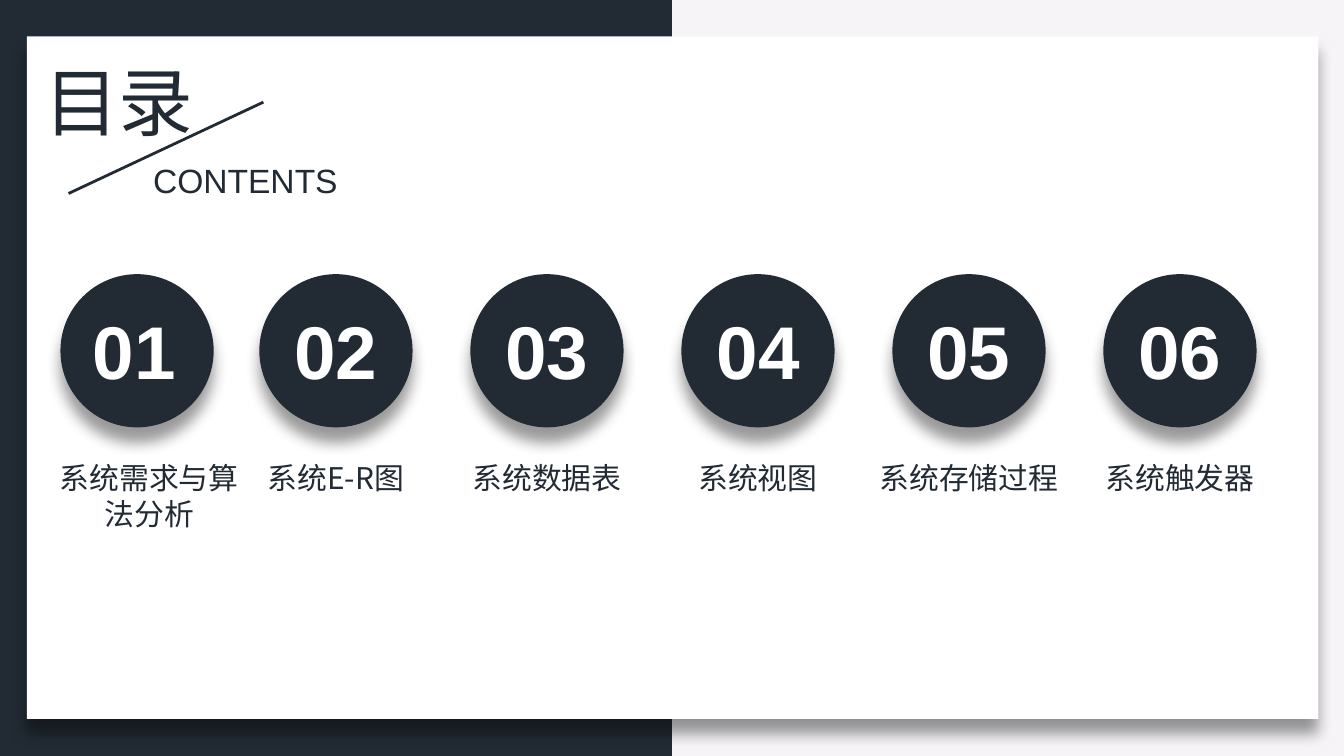
from pptx import Presentation
from pptx import util as u
from pptx.dml.color import RGBColor
from pptx.enum import shapes, text
from pptx.oxml import parse_xml
from pptx.oxml.ns import nsdecls, qn

SLIDE_WIDTH = 10
SLIDE_HEIGHT = SLIDE_WIDTH * 9 / 16
DARK, PALE, WHITE = "222B34", "F6F4F7", "FFFFFF"
LABEL_FONT = "Noto Sans CJK SC"

# number, label, label width, label height, label wraps
TOPICS = [
    ("01", "系统需求与算法分析", 1.55, 0.64, True),
    ("02", "系统E-R图", 1.24, 0.37, True),
    ("03", "系统数据表", 1.32, 0.37, False),
    ("04", "系统视图", 1.1, 0.37, False),
    ("05", "系统存储过程", 1.55, 0.37, False),
    ("06", "系统触发器", 1.32, 0.37, False),
]
FIRST_CENTER, SECOND_CENTER, STEP = 1.02, 2.5, 1.57
FIRST_LABEL_SHIFT, FIRST_NUMBER_SHIFT = 0.09, -0.02
DIAMETER, CIRCLE_TOP = 1.14, 2.04
NUMBER_WIDTH, NUMBER_HEIGHT, NUMBER_TOP = 0.83, 0.77, 2.22
LABEL_TOP = 3.37


def color(code):
    return RGBColor.from_string(code)


def set_effects(shape, inner=""):
    """Replace the theme effects with the given ones, or with none."""
    shape._element.spPr.append(parse_xml(
        f"<a:effectLst {nsdecls('a')}>{inner}</a:effectLst>"))


def add_filled(parent, kind, left, top, width, height, fill, shadow=False):
    shape = parent.add_shape(kind, *map(u.Inches, (left, top, width, height)))
    shape.fill.solid()
    shape.fill.fore_color.rgb = color(fill)
    shape.line.fill.background()
    if shadow:
        set_effects(shape, (
            f'<a:outerShdw blurRad="{u.Pt(8)}" dist="{u.Pt(8)}" dir="5400000" '
            'algn="t" rotWithShape="0"><a:srgbClr val="000000">'
            '<a:alpha val="40000"/></a:srgbClr></a:outerShdw>'))
    else:
        shape.shadow.inherit = False


def add_text(parent, words, left, top, width, height, size, font,
             fill=DARK, bold=False, align=text.PP_ALIGN.LEFT, wrap=False):
    box = parent.add_textbox(*map(u.Inches, (left, top, width, height)))
    frame = box.text_frame
    frame.word_wrap = wrap
    frame.auto_size = text.MSO_AUTO_SIZE.SHAPE_TO_FIT_TEXT
    para = frame.paragraphs[0]
    para.alignment = align
    span = para.add_run()
    span.text = words
    span.font.size = u.Pt(size)
    span.font.name = font
    span.font.bold = bold
    span.font.color.rgb = color(fill)
    east_asian = parse_xml(f'<a:ea {nsdecls("a")} typeface="{LABEL_FONT}"/>')
    span.font._element.find(qn("a:latin")).addnext(east_asian)


def add_topic(page, index, number, label, width, height, wrap):
    first = index == 0
    center = FIRST_CENTER if first else SECOND_CENTER + STEP * (index - 1)
    label_center = center + (FIRST_LABEL_SHIFT if first else 0)
    number_center = center + (FIRST_NUMBER_SHIFT if first else 0)
    group = page.shapes.add_group_shape().shapes
    add_text(group, label, label_center - width / 2, LABEL_TOP, width, height,
             16, LABEL_FONT, align=text.PP_ALIGN.CENTER, wrap=wrap)
    add_filled(group, shapes.MSO_SHAPE.OVAL, center - DIAMETER / 2, CIRCLE_TOP,
               DIAMETER, DIAMETER, DARK, shadow=True)
    add_text(group, number, number_center - NUMBER_WIDTH / 2, NUMBER_TOP,
             NUMBER_WIDTH, NUMBER_HEIGHT, 40, "Arial", fill=WHITE, bold=True,
             align=text.PP_ALIGN.CENTER)


def main():
    deck = Presentation()
    deck.slide_width = u.Inches(SLIDE_WIDTH)
    deck.slide_height = u.Inches(SLIDE_HEIGHT)
    page = deck.slides.add_slide(deck.slide_layouts[6])
    page.background.fill.solid()
    page.background.fill.fore_color.rgb = color(PALE)

    rectangle = shapes.MSO_SHAPE.RECTANGLE
    add_filled(page.shapes, rectangle, 0, 0, SLIDE_WIDTH / 2, SLIDE_HEIGHT, DARK)
    add_filled(page.shapes, rectangle, 0.2, 0.27, 9.61, 5.08, WHITE, shadow=True)

    add_text(page.shapes, "目录", 0.23, 0.37, 1.32, 0.77, 40, "Calibri")
    slash = page.shapes.add_connector(
        shapes.MSO_CONNECTOR.STRAIGHT, *map(u.Inches, (1.96, 0.76, 0.51, 1.44)))
    slash.line.color.rgb = color(DARK)
    slash.line.width = u.Pt(1.5)
    set_effects(slash)
    add_text(page.shapes, "CONTENTS", 1.04, 1.14, 1.59, 0.4, 18, "Arial")

    for index, topic in enumerate(TOPICS):
        add_topic(page, index, *topic)
    deck.save("out.pptx")


if __name__ == "__main__":
    main()
